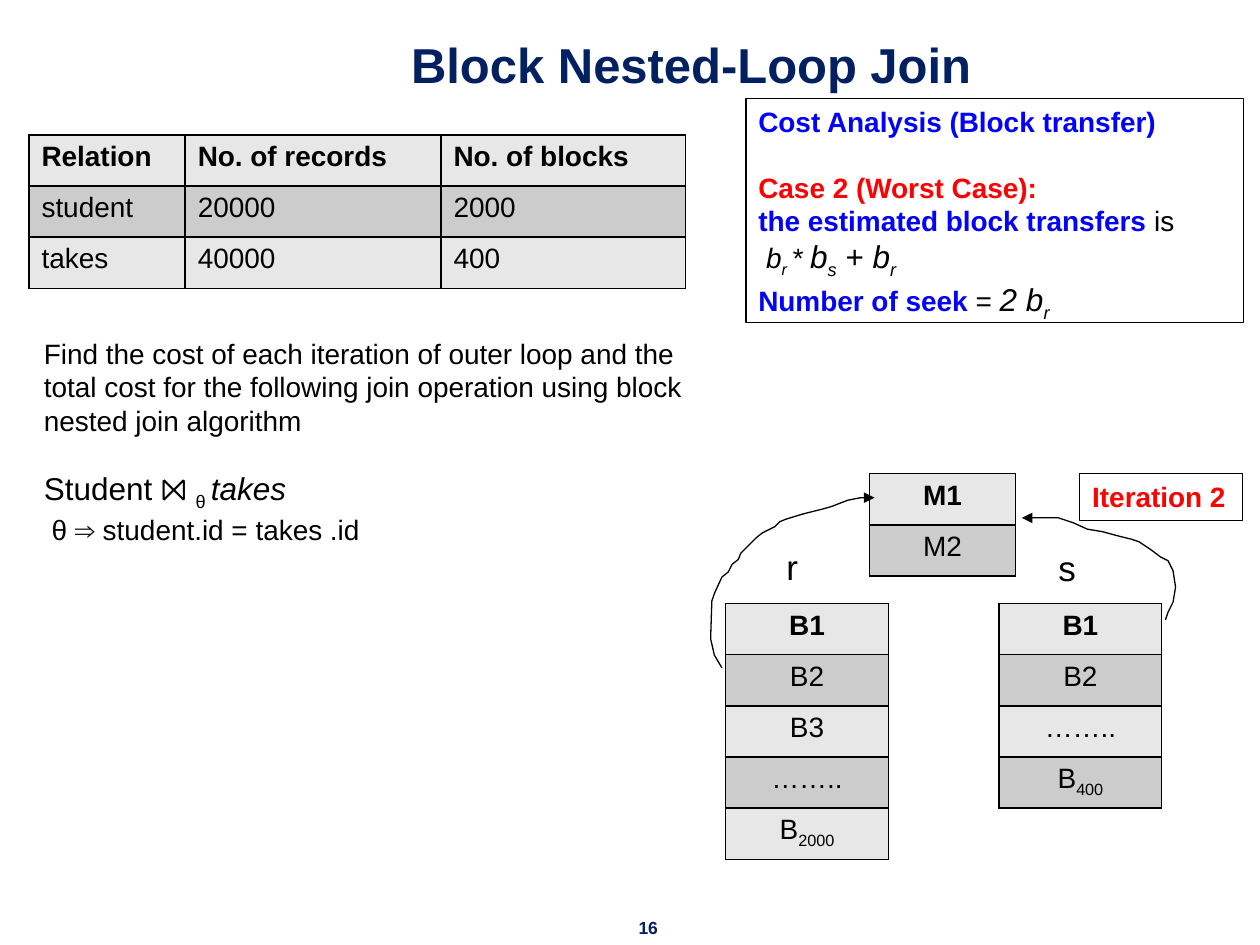
from dataclasses import dataclass

from lxml.etree import SubElement
from pptx import Presentation
from pptx.dml.color import RGBColor
from pptx.enum.shapes import MSO_SHAPE
from pptx.enum.text import MSO_ANCHOR, MSO_AUTO_SIZE, PP_ALIGN
from pptx.oxml.ns import qn
from pptx.util import Inches, Pt

COLORS = {
    "black": "000000", "white": "FFFFFF", "navy": "002060", "blue": "0000FF",
    "red": "FF0000", "light": "E7E7E7", "dark": "CCCCCC",
}


@dataclass
class Run:
    text: str
    size: float = 16
    color: str = "black"
    bold: bool = False
    italic: bool = False
    sub: bool = False


class Deck:
    """Draws styled elements on a slide with a grid of 1000 columns by 750 rows."""

    font = "Arial"
    cell = Inches(0.01)
    blank_line = Pt(18.4)

    def __init__(self):
        self.prs = Presentation()
        self.prs.slide_width, self.prs.slide_height = Inches(10), Inches(7.5)
        self.s = self.prs.slides.add_slide(self.prs.slide_layouts[6])

    def grid(self, *units):
        return [int(u * self.cell) for u in units]

    def rgb(self, name):
        return RGBColor.from_string(COLORS[name])

    def add_runs(self, p, runs, align=PP_ALIGN.LEFT):
        p.alignment = align
        for item in runs:
            if item == "\n":
                p.add_line_break()
                continue
            r = p.add_run()
            r.text = item.text
            f = r.font
            f.name, f.size = self.font, Pt(item.size)
            f.bold, f.italic = item.bold, item.italic
            f.color.rgb = self.rgb(item.color)
            if item.sub:
                r._r.get_or_add_rPr().set("baseline", "-25000")

    def outline(self, sp):
        sp.line.color.rgb = self.rgb("black")
        sp.line.width = Pt(0.75)

    def box(self, at, paragraphs, border=False, fill=None, align=PP_ALIGN.LEFT,
            anchor=MSO_ANCHOR.TOP, wrap=True, grow=True, inset=10, gaps=()):
        if border or fill:
            sp = self.s.shapes.add_shape(MSO_SHAPE.RECTANGLE, *self.grid(*at))
            sp.shadow.inherit = False
            sp.fill.background()
            sp.line.fill.background()
        else:
            sp = self.s.shapes.add_textbox(*self.grid(*at))
        if fill:
            sp.fill.solid()
            sp.fill.fore_color.rgb = self.rgb(fill)
        if border:
            self.outline(sp)
        tf = sp.text_frame
        tf.word_wrap, tf.vertical_anchor = wrap, anchor
        tf.auto_size = MSO_AUTO_SIZE.SHAPE_TO_FIT_TEXT if grow else MSO_AUTO_SIZE.NONE
        tf.margin_left = tf.margin_right = self.grid(inset)[0]
        for i, runs in enumerate(paragraphs):
            p = tf.add_paragraph() if i else tf.paragraphs[0]
            if i in gaps:
                p.space_before = self.blank_line
            self.add_runs(p, runs, align)

    def table(self, left, top, widths, rows, align=PP_ALIGN.CENTER, row_height=40.6):
        size = self.grid(left, top, sum(widths), row_height * len(rows))
        table = self.s.shapes.add_table(len(rows), len(widths), *size).table
        for column, width in zip(table.columns, self.grid(*widths)):
            column.width = width
        for i, row in enumerate(rows):
            table.rows[i].height = self.grid(row_height)[0]
            for j, (text, *sub) in enumerate(row):
                cell = table.cell(i, j)
                self.borders(cell)
                cell.fill.solid()
                cell.fill.fore_color.rgb = self.rgb("dark" if i % 2 else "light")
                runs = [Run(text, bold=i == 0)] + [Run(t, sub=True) for t in sub]
                self.add_runs(cell.text_frame.paragraphs[0], runs, align)

    def borders(self, cell):
        props = cell._tc.get_or_add_tcPr()
        for side in "LRTB":
            ln = SubElement(props, qn(f"a:ln{side}"), w=str(Pt(1)))
            fill = SubElement(ln, qn("a:solidFill"))
            SubElement(fill, qn("a:srgbClr"), val=COLORS["black"])

    def arrow(self, points):
        builder = self.s.shapes.build_freeform(*points[0], scale=self.cell)
        builder.add_line_segments(points[1:], close=False)
        sp = builder.convert_to_shape()
        sp.shadow.inherit = False
        sp.fill.background()
        self.outline(sp)
        SubElement(sp._element.spPr.find(qn("a:ln")), qn("a:tailEnd"), type="triangle")


def column(*blocks):
    return [[block if isinstance(block, tuple) else (block,)] for block in blocks]


def main():
    d = Deck()
    d.box((496, 723, 37, 27), [[Run("16", 10, "navy", True)]],
          align=PP_ALIGN.CENTER, wrap=False)
    d.box((107, 12, 883, 67), [[Run("Block Nested-Loop Join", 28, "navy", True)]],
          align=PP_ALIGN.CENTER, anchor=MSO_ANCHOR.BOTTOM, grow=False)

    d.table(576, 479, [129], column("B1", "B2", "B3", "……..", ("B", "2000")))
    d.table(793, 479, [129], column("B1", "B2", "……..", ("B", "400")))
    d.table(690, 376, [116], column("M1", "M2"))
    d.box((857, 376, 129, 37), [[Run("Iteration 2", color="red", bold=True)]], border=True)

    d.arrow([(573, 530), (567, 520), (564, 507), (565, 477), (567, 471), (573, 458),
             (578, 454), (581, 448), (586, 444), (588, 439), (592, 435), (600, 427),
             (605, 423), (615, 418), (619, 414), (624, 412), (637, 408), (653, 404),
             (660, 402), (673, 397), (683, 395), (694, 395)])
    d.arrow([(925, 492), (927, 486), (931, 478), (933, 466), (931, 453), (927, 445),
             (921, 442), (913, 436), (904, 430), (898, 428), (886, 425), (875, 422),
             (863, 420), (852, 415), (840, 411), (811, 411)])

    d.box((592, 78, 395, 178), [
        [Run("Cost Analysis (Block transfer)", color="blue", bold=True)],
        [Run("Case 2 (Worst Case):", color="red", bold=True)],
        [Run("the estimated block transfers ", color="blue", bold=True), Run("is"), "\n",
         Run(" b", italic=True), Run("r ", italic=True, sub=True), Run("* ", italic=True),
         Run("b", 18, italic=True), Run("s", 18, italic=True, sub=True), Run(" + ", 18),
         Run("b", 18, italic=True), Run("r", 18, italic=True, sub=True)],
        [Run("Number of seek ", color="blue", bold=True), Run("= "),
         Run("2 b", 18, italic=True), Run("r", 18, italic=True, sub=True)],
    ], border=True, gaps=[1])

    d.box((624, 428, 41, 33), [[Run("r", 20)]], fill="white", wrap=False, grow=False, inset=0)
    d.box((840, 429, 41, 33), [[Run("s", 20)]], wrap=False, grow=False, inset=0)

    d.box((25, 262, 539, 202), [
        [Run("Find the cost of each iteration of outer loop and the total cost for "
             "the following join operation using block nested join algorithm")],
        [Run("Student ⨝ ", 18), Run("θ ", 18, sub=True), Run("takes", 18, italic=True),
         "\n", Run(" θ ⇒ student.id = takes .id")],
    ], gaps=[1])

    d.table(23, 107, [124, 203, 194], [
        [("Relation",), ("No. of records",), ("No. of blocks",)],
        [("student",), ("20000",), ("2000",)],
        [("takes",), ("40000",), ("400",)],
    ], align=PP_ALIGN.LEFT)

    d.prs.save("out.pptx")


if __name__ == "__main__":
    main()
